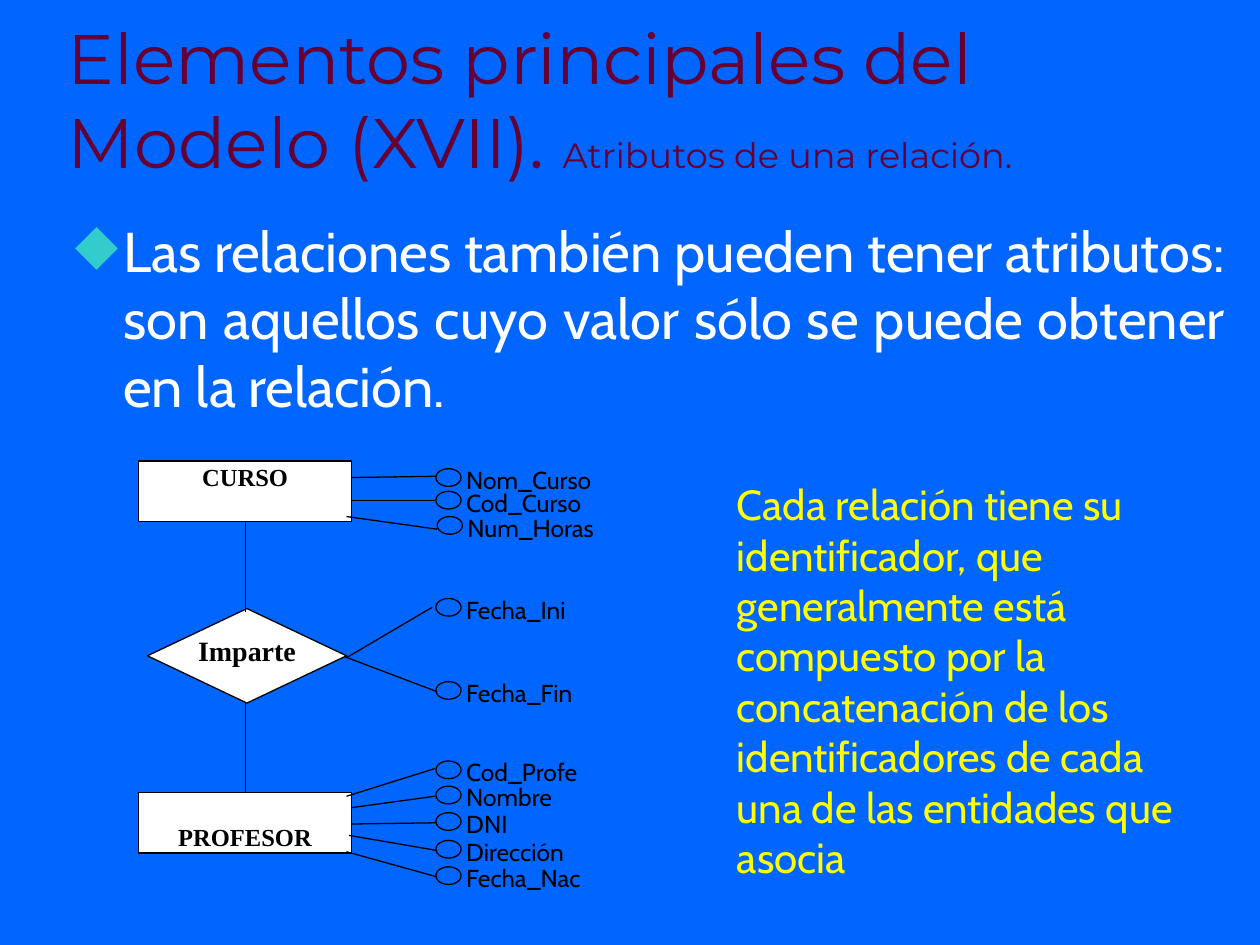
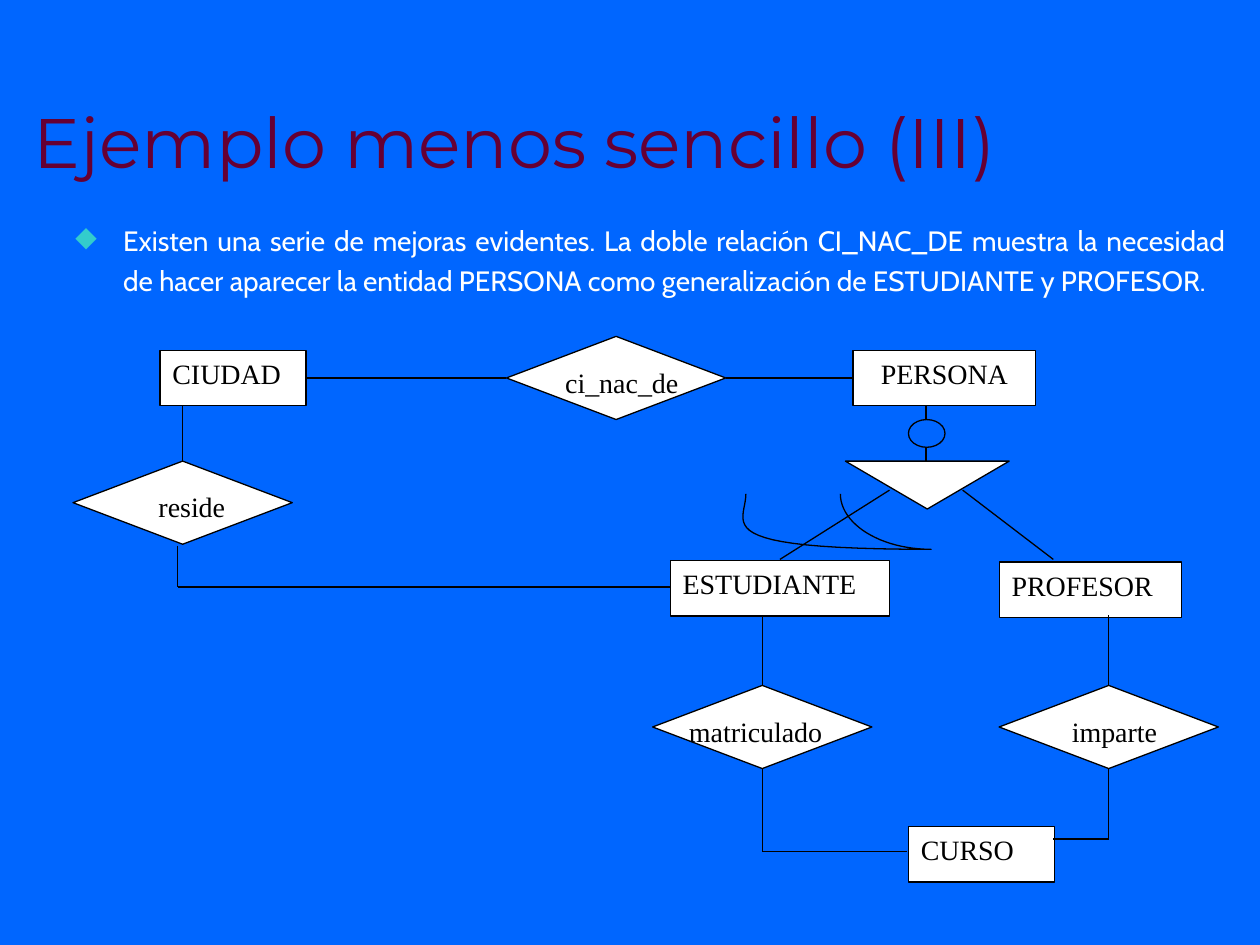
from dataclasses import dataclass
from itertools import pairwise

from lxml.etree import SubElement
from pptx import Presentation
from pptx.dml.color import RGBColor
from pptx.enum.shapes import MSO_CONNECTOR, MSO_SHAPE
from pptx.enum.text import MSO_ANCHOR, PP_ALIGN
from pptx.oxml.ns import qn
from pptx.util import Inches, Pt

BLUE, WINE, TEAL = "0066FF", "660033", "33CCCC"
WHITE, BLACK, YELLOW = "FFFFFF", "000000", "FFFF00"
HEAD, BODY, SERIF = "Montserrat", "Cabin", "Times New Roman"
LEFT, MID, FULL = PP_ALIGN.LEFT, PP_ALIGN.CENTER, PP_ALIGN.JUSTIFY
TOP, BOTTOM = MSO_ANCHOR.TOP, MSO_ANCHOR.BOTTOM
WIDE, TALL = 1.74, 0.66

Box = tuple[float, float, float, float]
Point = tuple[float, float]


@dataclass(frozen=True)
class Style:
    font: str
    size: int
    color: str
    bold: bool = False
    align: PP_ALIGN = LEFT
    anchor: MSO_ANCHOR = TOP
    pad: Point = (0.1, 0.05)
    before: int = 0
    line: float = 1.0
    bullet: bool = False


@dataclass(frozen=True)
class Field:
    name: str
    left: float
    top: float
    start: Point
    end: Point


@dataclass(frozen=True)
class Entity:
    name: str
    box: Box
    align: PP_ALIGN = LEFT


@dataclass(frozen=True)
class Link:
    name: str
    left: float
    top: float
    shift: float
    width: float
    align: PP_ALIGN = LEFT


TITLE = Style(HEAD, 40, WINE, anchor=BOTTOM)
TIGHT = (0.01, 0.01)
LABEL = Style(BODY, 14, BLACK, pad=TIGHT)

FIELDS = [
    Field("Nom_Curso", 3.46, 3.72, (3.47, 3.78), (2.79, 3.79)),
    Field("Cod_Curso", 3.46, 3.9, (3.45, 3.97), (2.79, 3.97)),
    Field("Num_Horas", 3.47, 4.1, (3.47, 4.2), (2.75, 4.1)),
    Field("Fecha_Ini", 3.46, 4.75, (3.43, 4.82), (2.75, 5.22)),
    Field("Fecha_Fin", 3.46, 5.41, (3.47, 5.49), (2.73, 5.21)),
    Field("Cod_Profe", 3.46, 6.04, (3.45, 6.1), (2.75, 6.32)),
    Field("Nombre", 3.46, 6.24, (3.45, 6.32), (2.79, 6.41)),
    Field("DNI", 3.46, 6.45, (3.47, 6.53), (2.79, 6.54)),
    Field("Dirección", 3.46, 6.67, (3.47, 6.75), (2.77, 6.63)),
    Field("Fecha_Nac", 3.46, 6.88, (3.47, 6.96), (2.75, 6.76)),
]

ENTITIES = [
    Entity("CIUDAD", (1.27, 2.78, 1.16, 0.44)),
    Entity("ESTUDIANTE", (5.32, 4.45, 1.74, 0.44)),
    Entity("PROFESOR", (7.93, 4.46, 1.45, 0.44)),
    Entity("CURSO", (7.21, 6.56, 1.16, 0.44)),
    Entity("PERSONA", (6.77, 2.78, 1.45, 0.44), MID),
]

LINKS = [
    Link("ci_nac_de", 4.02, 2.67, 0.19, 1.45, MID),
    Link("matriculado", 5.18, 5.44, 0.19, 1.74),
    Link("imparte", 7.93, 5.44, 0.19, 1.45, MID),
    Link("reside", 0.58, 3.66, 0.58, 1.06),
]

ROUTES = [
    [(4.02, 3), (2.43, 3)],
    [(5.76, 3), (6.77, 3)],
    [(1.45, 3.66), (1.45, 3.22)],
    [(1.41, 4.33), (1.41, 4.66), (5.32, 4.66)],
    [(8.8, 6.1), (8.8, 6.66), (8.36, 6.66)],
    [(6.05, 6.1), (6.05, 6.76), (7.2, 6.76)],
    [(6.05, 5.44), (6.05, 4.88)],
    [(8.8, 5.44), (8.8, 4.88)],
    [(7.35, 3.22), (7.35, 3.66)],
    [(7.06, 3.89), (6.19, 4.44)],
    [(7.64, 3.89), (8.36, 4.44)],
]

CURVES = [
    ((6.67, 3.92), (6.67, 4.16), (6.99, 4.36), (7.39, 4.36)),
    ((7.39, 4.36), (5.59, 4.36), (5.92, 4.16), (5.92, 3.92)),
]


def rgb(code: str) -> RGBColor:
    return RGBColor.from_string(code)


def place(box: Box) -> list:
    return [Inches(part) for part in box]


def add_mark(para) -> None:
    props = para._p.get_or_add_pPr()
    props.set("marL", str(Inches(0.38)))
    props.set("indent", str(-Inches(0.38)))
    tint = SubElement(props, qn("a:buClr"))
    SubElement(tint, qn("a:srgbClr")).set("val", TEAL)
    SubElement(props, qn("a:buChar")).set("char", "◆")


def write(shape, text: str, style: Style):
    frame = shape.text_frame
    frame.word_wrap = True
    frame.vertical_anchor = style.anchor
    frame.margin_left = frame.margin_right = Inches(style.pad[0])
    frame.margin_top = frame.margin_bottom = Inches(style.pad[1])
    para = frame.paragraphs[0]
    if style.bullet:
        add_mark(para)
    para.alignment = style.align
    para.space_before = Pt(style.before)
    para.line_spacing = style.line
    para.font.name = style.font
    para.font.size = Pt(style.size)
    para.font.bold = style.bold
    para.font.color.rgb = rgb(style.color)
    para.add_run().text = text
    return para


def add_text(slide, box: Box, text: str, style: Style):
    return write(slide.shapes.add_textbox(*place(box)), text, style)


def ink(shape, fill: str | None) -> None:
    shape.shadow.inherit = False
    if fill:
        shape.fill.solid()
        shape.fill.fore_color.rgb = rgb(fill)
    else:
        shape.fill.background()
    shape.line.color.rgb = rgb(BLACK)
    shape.line.width = Pt(0.75)


def add_form(slide, kind: MSO_SHAPE, box: Box, fill: str | None = WHITE):
    shape = slide.shapes.add_shape(kind, *place(box))
    ink(shape, fill)
    return shape


def add_line(slide, start: Point, end: Point) -> None:
    ends = place((*start, *end))
    line = slide.shapes.add_connector(MSO_CONNECTOR.STRAIGHT, *ends)
    line.line.color.rgb = rgb(BLACK)
    line.line.width = Pt(0.75)
    SubElement(line._element.spPr, qn("a:effectLst"))


def trace(curve: tuple, steps: int = 24) -> list[Point]:
    points = []
    for step in range(1, steps + 1):
        t = step / steps
        u = 1 - t
        rates = (u**3, 3 * u * u * t, 3 * u * t * t, t**3)
        points.append(tuple(
            Inches(sum(rate * knot[axis] for rate, knot in zip(rates, curve)))
            for axis in (0, 1)
        ))
    return points


def add_curve(slide) -> None:
    start = [Inches(part) for part in CURVES[0][0]]
    pen = slide.shapes.build_freeform(*start, scale=1.0)
    for curve in CURVES:
        pen.add_line_segments(trace(curve), close=False)
    ink(pen.convert_to_shape(), None)


def add_page(deck, title: str, left: float, width: float, text: str,
             size: int, before: int, line: float = 1.0):
    slide = deck.slides.add_slide(deck.slide_layouts[6])
    slide.background.fill.solid()
    slide.background.fill.fore_color.rgb = rgb(BLUE)
    head = add_text(slide, (left, 0.25, width, 1.25), title, TITLE)
    style = Style(BODY, size, WHITE, align=FULL, before=before,
                  line=line, bullet=True)
    add_text(slide, (0.5, 1.67, 9.33, 5.67), text, style)
    return slide, head


def draw_teach(deck) -> None:
    slide, head = add_page(
        deck, "Elementos principales del Modelo (XVII). ", 0.44, 9.06,
        "Las relaciones también pueden tener atributos: son aquellos cuyo "
        "valor sólo se puede obtener en la relación.", 32, 8)
    topic = head.add_run()
    topic.text = "Atributos de una relación."
    topic.font.size = Pt(20)

    add_form(slide, MSO_SHAPE.DIAMOND, (1.17, 4.83, 1.58, 0.75))
    add_text(slide, (1.37, 5.02, 1.18, 0.28), "Imparte",
             Style(SERIF, 16, BLACK, True, MID, pad=TIGHT))
    for start, end in ((4.86, 4.02), (5.57, 6.41)):
        add_line(slide, (1.95, start), (1.95, end))
    for name, top, anchor in (("PROFESOR", 6.29, BOTTOM), ("CURSO", 3.66, TOP)):
        shape = add_form(slide, MSO_SHAPE.RECTANGLE, (1.1, top, 1.69, 0.48))
        write(shape, name, Style(SERIF, 14, BLACK, True, MID, anchor, TIGHT))
    for field in FIELDS:
        oval = (field.left, field.top, 0.2, 0.14)
        add_form(slide, MSO_SHAPE.OVAL, oval, None)
        spot = (field.left + 0.23, field.top - 0.04, 1.38, 0.24)
        add_text(slide, spot, field.name, LABEL)
        add_line(slide, field.start, field.end)
    add_text(slide, (5.75, 3.75, 3.92, 3.3),
             "Cada relación tiene su identificador, que generalmente está "
             "compuesto por la concatenación de los identificadores de cada "
             "una de las entidades que asocia",
             Style(BODY, 24, YELLOW, before=15))


def draw_city(deck) -> None:
    slide, _ = add_page(
        deck, "Ejemplo menos sencillo (III)", 0.17, 9.83,
        "Existen una serie de mejoras evidentes. La doble relación CI_NAC_DE "
        "muestra la necesidad de hacer aparecer la entidad PERSONA como "
        "generalización de ESTUDIANTE y PROFESOR.", 16, 4, 1.2)
    for item in ENTITIES:
        shape = add_form(slide, MSO_SHAPE.RECTANGLE, item.box)
        write(shape, item.name, Style(SERIF, 16, BLACK, align=item.align))
    for link in LINKS:
        add_form(slide, MSO_SHAPE.FLOWCHART_DECISION,
                 (link.left, link.top, WIDE, TALL))
        spot = (link.left + link.shift, link.top + 0.18, link.width, 0.44)
        add_text(slide, spot, link.name,
                 Style(SERIF, 16, BLACK, align=link.align))
    add_form(slide, MSO_SHAPE.FLOWCHART_MERGE, (6.71, 3.66, 1.3, 0.38))
    for route in ROUTES:
        for start, end in pairwise(route):
            add_line(slide, start, end)
    add_curve(slide)
    add_form(slide, MSO_SHAPE.OVAL, (7.21, 3.33, 0.29, 0.22), BLUE)


def main() -> None:
    deck = Presentation()
    deck.slide_width, deck.slide_height = Inches(10), Inches(7.5)
    draw_teach(deck)
    draw_city(deck)
    deck.save("out.pptx")


if __name__ == "__main__":
    main()
